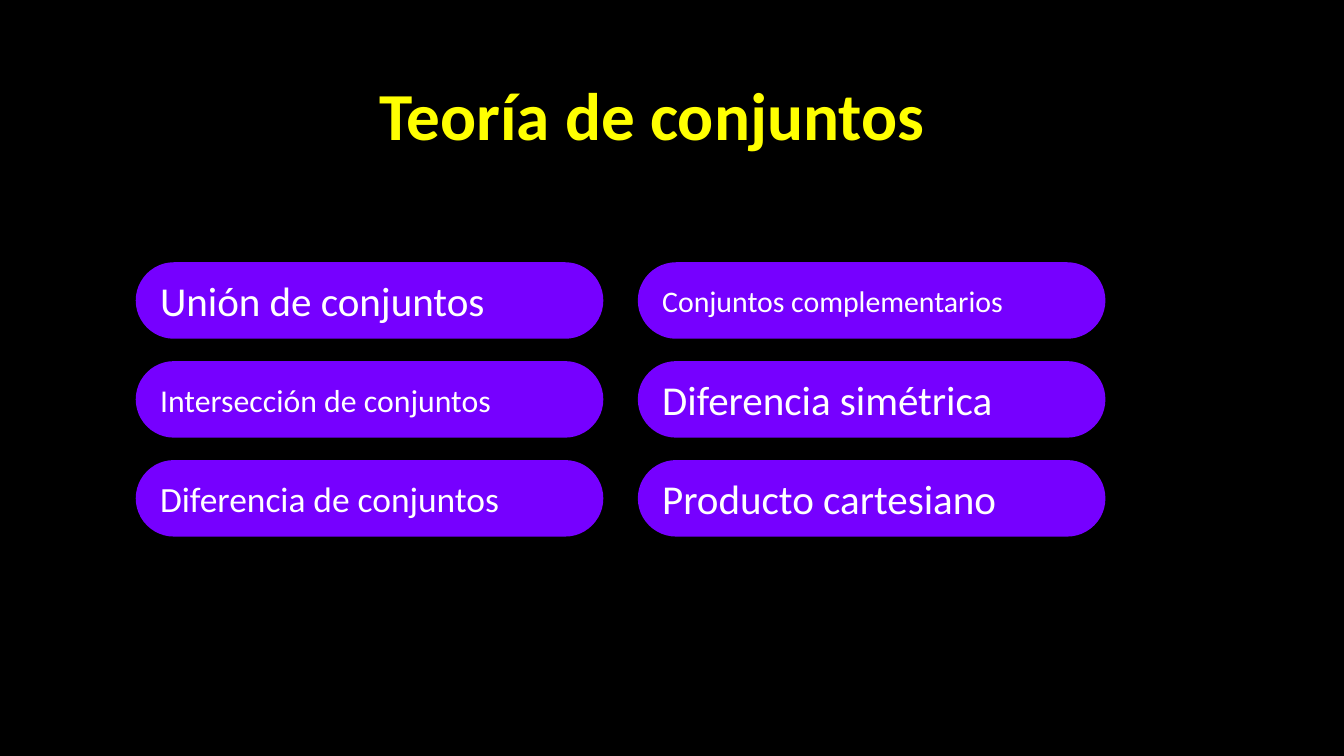
from pptx import Presentation
from pptx.dml.color import RGBColor
from pptx.enum.shapes import MSO_SHAPE
from pptx.enum.text import MSO_ANCHOR, MSO_AUTO_SIZE, PP_ALIGN
from pptx.util import Pt

PILL = MSO_SHAPE.ROUNDED_RECTANGLE
MIDDLE = MSO_ANCHOR.MIDDLE
NO_AUTOFIT = MSO_AUTO_SIZE.NONE
LEFT, CENTER = PP_ALIGN.LEFT, PP_ALIGN.CENTER

BLACK = RGBColor(0x00, 0x00, 0x00)
VIOLET = RGBColor(0x76, 0x00, 0xFF)
WHITE = RGBColor(0xFF, 0xFF, 0xFF)
YELLOW = RGBColor(0xFF, 0xFF, 0x01)

FONT = "Calibri"
INSET = 7.2
PILL_HEIGHT = 41
COLUMN_GAP = 18.5

TOPIC_COLUMNS = [
    [
        ("Unión de conjuntos", 22),
        ("Intersección de conjuntos", 17),
        ("Diferencia de conjuntos", 19),
    ],
    [
        ("Conjuntos complementarios", 16),
        ("Diferencia simétrica", 22),
        ("Producto cartesiano", 22),
    ],
]


def set_text(shape, text, size, color, alignment, bold=False):
    frame = shape.text_frame
    frame.text = text
    frame.word_wrap = True
    frame.auto_size = NO_AUTOFIT
    frame.vertical_anchor = MIDDLE
    frame.margin_left = frame.margin_right = Pt(INSET)
    frame.margin_top = frame.margin_bottom = Pt(INSET)
    paragraph = frame.paragraphs[0]
    paragraph.alignment = alignment
    paragraph.font.name = FONT
    paragraph.font.size = Pt(size)
    paragraph.font.bold = bold
    paragraph.font.color.rgb = color


def place_title(slide, left, top, width, height):
    title = slide.shapes.title
    title.left, title.top = Pt(left), Pt(top)
    title.width, title.height = Pt(width), Pt(height)
    set_text(title, "Teoría de conjuntos", 36, YELLOW, CENTER, bold=True)


def add_topic(slide, text, size, left, top, width, height):
    pill = slide.shapes.add_shape(PILL, Pt(left), Pt(top), Pt(width), Pt(height))
    pill.adjustments[0] = 0.5
    pill.shadow.inherit = False
    pill.fill.solid()
    pill.fill.fore_color.rgb = VIOLET
    pill.line.fill.background()
    set_text(pill, text, size, WHITE, LEFT)


def add_topic_grid(slide, left, top, width, height):
    column_count = len(TOPIC_COLUMNS)
    pill_width = (width - COLUMN_GAP * (column_count - 1)) / column_count
    for column, topics in enumerate(TOPIC_COLUMNS):
        row_step = (height - PILL_HEIGHT) / (len(topics) - 1)
        for row, (text, size) in enumerate(topics):
            add_topic(
                slide,
                text,
                size,
                left + column * (pill_width + COLUMN_GAP),
                top + row * row_step,
                pill_width,
                PILL_HEIGHT,
            )


def main():
    presentation = Presentation()
    presentation.slide_width, presentation.slide_height = Pt(720), Pt(405)
    slide = presentation.slides.add_slide(presentation.slide_layouts[5])
    slide.background.fill.solid()
    slide.background.fill.fore_color.rgb = BLACK
    place_title(slide, 60.5, 16, 577.5, 90)
    add_topic_grid(slide, 72.7, 140.5, 519.5, 147)
    presentation.save("out.pptx")


if __name__ == "__main__":
    main()
